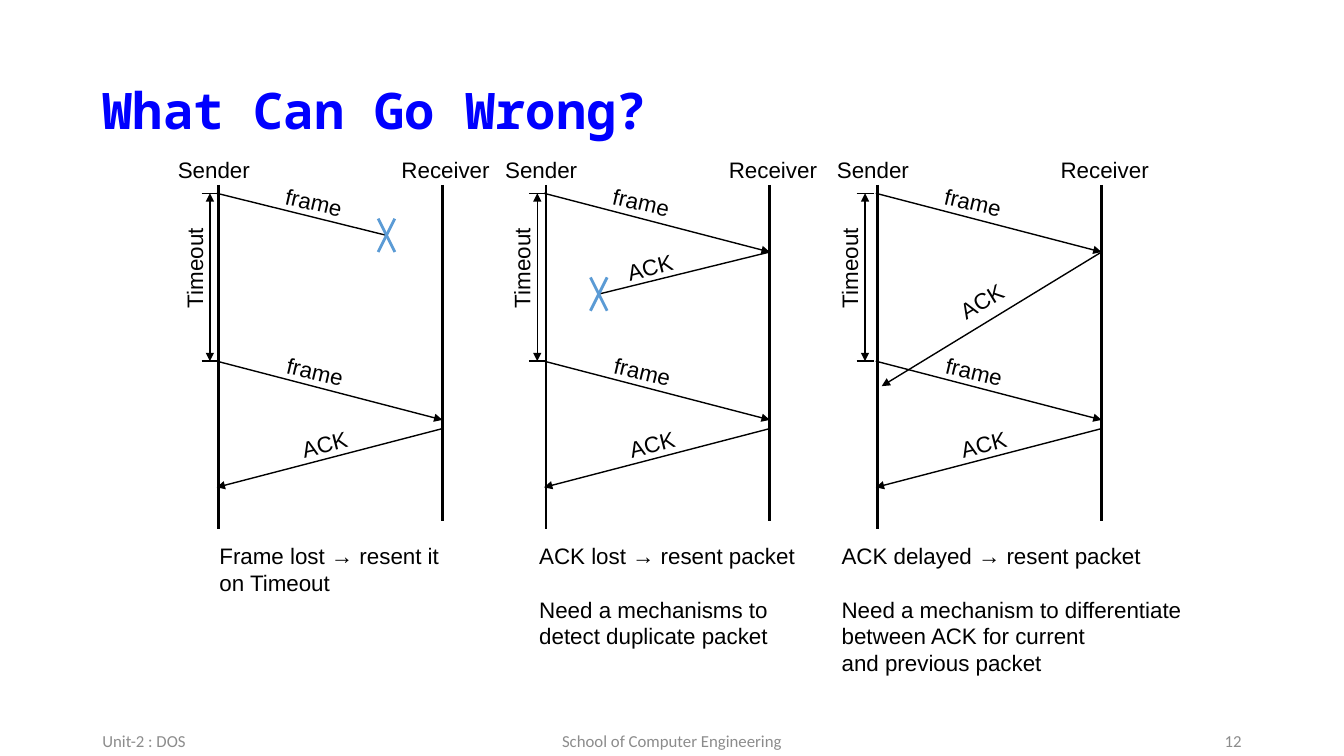
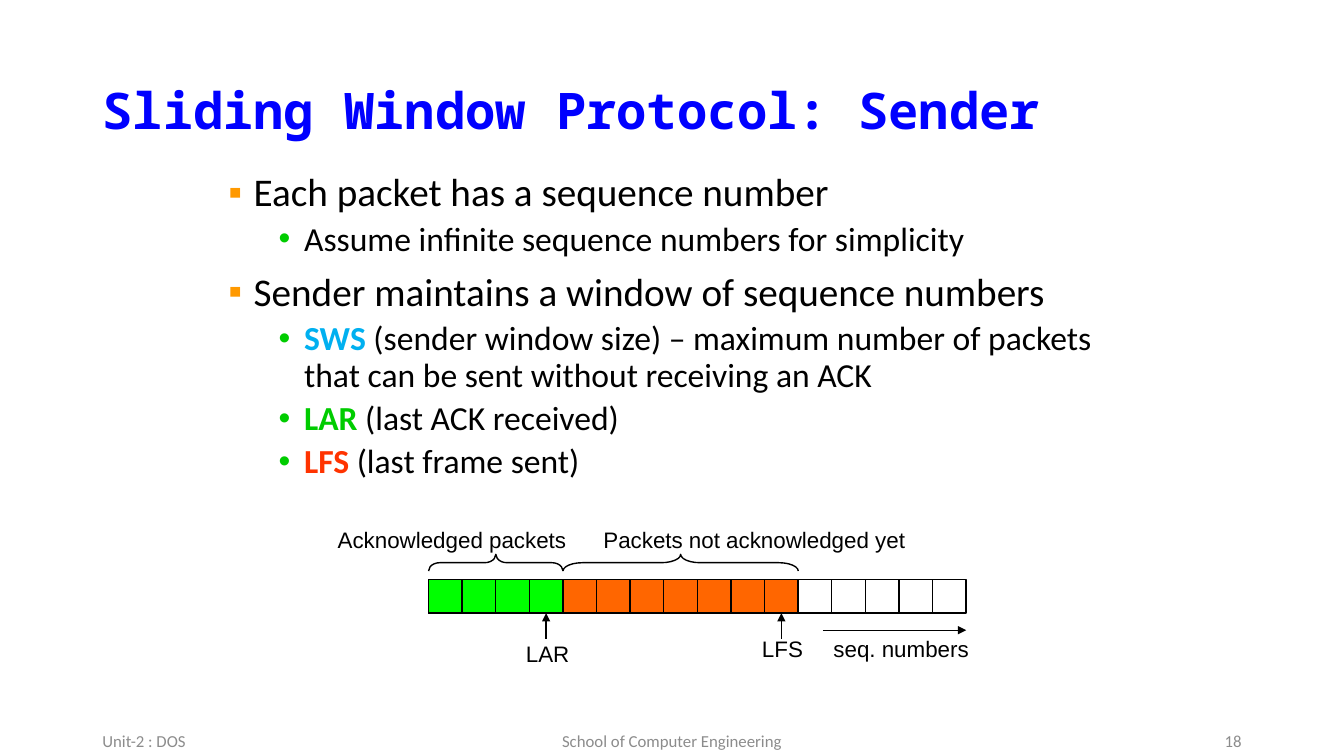
from dataclasses import dataclass

from lxml.etree import SubElement
from pptx import Presentation
from pptx.dml.color import RGBColor
from pptx.enum.shapes import MSO_CONNECTOR as Connector, MSO_SHAPE as Preset
from pptx.enum.text import MSO_ANCHOR as Anchor, MSO_AUTO_SIZE as AutoSize, PP_ALIGN as Align
from pptx.oxml.ns import qn
from pptx.shapes.autoshape import Shape
from pptx.slide import Slide
from pptx.util import Cm, Pt


@dataclass(frozen=True)
class Theme:
    title: str = "0000FF"
    ink: str = "000000"
    footer: str = "8C8C8C"
    loss: str = "5B9BD5"
    topic_bullet: str = "FF9900"
    detail_bullet: str = "00CC00"
    window_size: str = "00B0F0"
    last_ack: str = "00CC00"
    last_frame: str = "FF3300"
    acked: str = "00FF00"
    pending: str = "FF6600"
    title_font: str = "Noto Sans Mono"
    body_font: str = "Calibri"
    label_font: str = "Arial"
    title_size: int = 36
    topic_size: int = 28
    detail_size: int = 24
    label_size: int = 16
    footer_size: int = 12


THEME = Theme()


@dataclass(frozen=True)
class Label:
    """Text centred on a point, in centimetres."""
    text: str
    x: float
    y: float
    width: float
    angle: float = 0


@dataclass(frozen=True)
class Signal:
    """A transmission; x is measured from the sender's line."""
    x1: float
    y1: float
    x2: float
    y2: float
    lost: bool = False


@dataclass(frozen=True)
class Scenario:
    sender_x: float
    timer_x: float
    signals: tuple[Signal, ...]
    labels: tuple[Label, ...]
    caption_x: float
    caption_width: float
    outcome: tuple[str, ...]
    need: tuple[str, ...] = ()


@dataclass(frozen=True)
class Point:
    text: str
    detail: bool = True
    term: str = ""
    term_color: str = THEME.ink


# Timing diagram: heights down the slide and distance between the two lines
RECEIVER, SENDER = 5.64, -0.05
SENT, RESENT = 4.87, 9.1
FIRST_FRAME = Signal(SENDER, SENT, RECEIVER, 6.35)
COMMON_SIGNALS = (
    Signal(SENDER, RESENT, RECEIVER, 10.58),
    Signal(RECEIVER, 10.8, SENDER, 12.28),
)
COMMON_LABELS = (
    Label("Sender", -0.12, 4.28, 2.34),
    Label("Receiver", 5.72, 4.28, 2.74),
    Label("frame", 2.4, 5.09, 1.96, 13),
    Label("frame", 2.43, 9.36, 1.96, 13.4),
    Label("ACK", 2.67, 11.19, 1.68, -14.1),
)
SCENARIOS = (
    Scenario(5.51, 5.51, (Signal(SENDER, SENT, 4.23, 5.93, lost=True),), (),
             5.28, 6.27, ("Frame lost → resent it", "on Timeout")),
    Scenario(13.76, 13.76,
             (FIRST_FRAME, Signal(RECEIVER, 6.35, 1.33, 7.41, lost=True)),
             (Label("ACK", 2.62, 6.74, 1.68, -14.1),),
             13.34, 7.19, ("ACK lost → resent packet",),
             ("Need a mechanisms to", "detect duplicate packet")),
    Scenario(22.12, 22.02,
             (FIRST_FRAME, Signal(RECEIVER, 6.35, 0.1, 9.73)),
             (Label("ACK", 2.62, 7.58, 1.68, -31.1),),
             20.96, 9.27, ("ACK delayed → resent packet",),
             ("Need a mechanism to differentiate", "between ACK for current",
              "and previous packet")),
)

POINTS = (
    Point("Each packet has a sequence number", detail=False),
    Point("Assume infinite sequence numbers for simplicity"),
    Point("Sender maintains a window of sequence numbers", detail=False),
    Point(" (sender window size) – maximum number of packets that can be sent "
          "without receiving an ACK", term="SWS", term_color=THEME.window_size),
    Point(" (last ACK received)", term="LAR", term_color=THEME.last_ack),
    Point(" (last frame sent)", term="LFS", term_color=THEME.last_frame),
)

# Sequence number strip
STRIP_LEFT, STRIP_TOP, STRIP_WIDTH, STRIP_HEIGHT = 10.8, 14.6, 13.55, 0.85
CELLS, ACKED, PENDING = 16, 4, 7
CELL = STRIP_WIDTH / CELLS
STRIP_LABELS = (
    Label("seq. numbers", 22.71, 16.34, 3.96),
    Label("LAR", 13.8, 16.47, 1.6),
    Label("LFS", 19.72, 16.34, 1.55),
    Label("Acknowledged packets", 11.39, 13.6, 6.32),
    Label("Packets not acknowledged yet", 19.01, 13.6, 8.2),
)


# Shared drawing functions
def style(font, name: str, size: float, color: str, bold: bool = False) -> None:
    font.name, font.size, font.bold = name, Pt(size), bold
    font.color.rgb = RGBColor.from_string(color)


def place(shape: Shape, left: float, top: float, width: float, height: float) -> None:
    shape.left, shape.top = Cm(left), Cm(top)
    shape.width, shape.height = Cm(width), Cm(height)


def add_text(slide: Slide, lines: tuple[str, ...], left: float, top: float, width: float,
             height: float, align: Align = Align.CENTER) -> Shape:
    box = slide.shapes.add_textbox(Cm(left), Cm(top), Cm(width), Cm(height))
    box.text_frame.word_wrap = False
    box.text_frame.text = "\n".join(lines)
    for paragraph in box.text_frame.paragraphs:
        paragraph.alignment = align
        for run in paragraph.runs:
            style(run.font, THEME.label_font, THEME.label_size, THEME.ink)
    return box


def add_label(slide: Slide, label: Label, origin: float = 0) -> None:
    height = 0.94
    box = add_text(slide, (label.text,), origin + label.x - label.width / 2,
                   label.y - height / 2, label.width, height)
    box.rotation = label.angle


def add_line(slide: Slide, x1: float, y1: float, x2: float, y2: float, width: float = 1,
             color: str = THEME.ink, ends: tuple[str, ...] = ()) -> None:
    line = slide.shapes.add_connector(Connector.STRAIGHT, Cm(x1), Cm(y1), Cm(x2), Cm(y2))
    line.line.width = Pt(width)
    line.line.color.rgb = RGBColor.from_string(color)
    properties = line._element.spPr
    for end in ends:
        SubElement(properties.find(qn("a:ln")), qn(f"a:{end}"), type="triangle")
    SubElement(properties, qn("a:effectLst"))


def add_outline(slide: Slide, preset: Preset, left: float, top: float, width: float,
                height: float, fill: str = "") -> Shape:
    shape = slide.shapes.add_shape(preset, Cm(left), Cm(top), Cm(width), Cm(height))
    shape.shadow.inherit = False
    shape.line.width = Pt(1)
    shape.line.color.rgb = RGBColor.from_string(THEME.ink)
    if fill:
        shape.fill.solid()
        shape.fill.fore_color.rgb = RGBColor.from_string(fill)
    else:
        shape.fill.background()
    return shape


def new_slide(deck, layout: int, heading: str, number: int) -> Slide:
    slide = deck.slides.add_slide(deck.slide_layouts[layout])
    title = slide.shapes.title
    place(title, 2.33, 1.02, 29.21, 3.68)
    title.text_frame.text = heading
    title.text_frame.vertical_anchor = Anchor.MIDDLE
    title.text_frame.auto_size = AutoSize.NONE
    paragraph = title.text_frame.paragraphs[0]
    paragraph.alignment, paragraph.line_spacing = Align.LEFT, 0.9
    style(paragraph.runs[0].font, THEME.title_font, THEME.title_size, THEME.title, bold=True)

    footers = (
        ("Unit-2 : DOS", 2.33, 7.62, Align.LEFT),
        ("School of Computer Engineering", 11.22, 11.43, Align.CENTER),
        (str(number), 23.92, 7.62, Align.RIGHT),
    )
    for text, left, width, align in footers:
        footer = add_text(slide, (text,), left, 18.29, width, 0.76, align)
        footer.text_frame.word_wrap = True
        footer.text_frame.vertical_anchor = Anchor.MIDDLE
        run = footer.text_frame.paragraphs[0].runs[0]
        style(run.font, THEME.body_font, THEME.footer_size, THEME.footer)
    return slide


# Timing diagrams
def add_loss_mark(slide: Slide, x: float, y: float) -> None:
    for rise in (0.42, -0.42):
        add_line(slide, x - 0.21, y - rise, x + 0.21, y + rise, 2, THEME.loss)


def add_scenario(slide: Slide, scenario: Scenario) -> None:
    x, timer = scenario.sender_x, scenario.timer_x
    add_line(slide, x, 4.66, x, 13.34, 2)
    add_line(slide, x + RECEIVER, 4.66, x + RECEIVER, 13.12, 2)
    for signal in scenario.signals + COMMON_SIGNALS:
        add_line(slide, x + signal.x1, signal.y1, x + signal.x2, signal.y2,
                 ends=() if signal.lost else ("tailEnd",))
        if signal.lost:
            add_loss_mark(slide, x + signal.x2, signal.y2)
    for label in COMMON_LABELS + scenario.labels:
        add_label(slide, label, x)

    for y in (SENT, RESENT):
        add_line(slide, timer - 0.43, y, timer, y)
    add_line(slide, timer - 0.22, RESENT, timer - 0.22, SENT, ends=("headEnd", "tailEnd"))
    add_label(slide, Label("Timeout", -0.61, 6.76, 2.54, 270), timer)

    lines = scenario.outcome + scenario.need
    caption = add_text(slide, lines, scenario.caption_x, 13.54, scenario.caption_width,
                       0.25 + 0.68 * len(lines), Align.LEFT)
    if scenario.need:
        first_need = caption.text_frame.paragraphs[len(scenario.outcome)]
        first_need.space_before = Pt(19)


# Bulleted list
def add_bullet(paragraph, indent: float, mark: str, color: str) -> None:
    properties = paragraph._p.get_or_add_pPr()
    properties.set("marL", str(Cm(indent)))
    properties.set("indent", str(-Cm(0.64)))
    SubElement(SubElement(properties, qn("a:buClr")), qn("a:srgbClr"), val=color)
    SubElement(properties, qn("a:buFont"), typeface=THEME.label_font)
    SubElement(properties, qn("a:buChar"), char=mark)


def fill_points(body: Shape) -> None:
    place(body, 5.5, 4.23, 23.55, 10.3)
    frame = body.text_frame
    frame.text = "\n".join(point.term + point.text for point in POINTS)
    frame.auto_size = AutoSize.NONE
    for paragraph, point in zip(frame.paragraphs, POINTS):
        paragraph.level = int(point.detail)
        paragraph.line_spacing = 0.9
        paragraph.space_before = Pt(5 if point.detail else 10)
        if point.detail:
            add_bullet(paragraph, 1.91, "•", THEME.detail_bullet)
        else:
            add_bullet(paragraph, 0.64, "▪", THEME.topic_bullet)
        size = THEME.detail_size if point.detail else THEME.topic_size
        run = paragraph.runs[0]
        if point.term:
            run.text = point.term
            style(run.font, THEME.body_font, size, point.term_color, bold=True)
            run = paragraph.add_run()
            run.text = point.text
        style(run.font, THEME.body_font, size, THEME.ink)


# Sequence number strip
def add_strip(slide: Slide) -> None:
    bottom = STRIP_TOP + STRIP_HEIGHT
    for first, count, color in ((0, ACKED, THEME.acked), (ACKED, PENDING, THEME.pending)):
        left, width, depth = STRIP_LEFT + first * CELL, count * CELL, 0.42
        add_outline(slide, Preset.RECTANGLE, left, STRIP_TOP, width, STRIP_HEIGHT, color)
        brace = add_outline(slide, Preset.LEFT_BRACE, left + (width - depth) / 2,
                            14.18 - width / 2, depth, width)
        brace.rotation = 90
        brace.adjustments[0] = count / 6
        pointer = left + width - CELL / 2
        add_line(slide, pointer, 16.09, pointer, bottom, ends=("tailEnd",))
    add_outline(slide, Preset.RECTANGLE, STRIP_LEFT, STRIP_TOP, STRIP_WIDTH, STRIP_HEIGHT)
    for cell in range(1, CELLS):
        x = STRIP_LEFT + cell * CELL
        add_line(slide, x, STRIP_TOP, x, bottom)
    add_line(slide, 20.74, 15.88, STRIP_LEFT + STRIP_WIDTH, 15.88, ends=("tailEnd",))
    for label in STRIP_LABELS:
        add_label(slide, label)


def main() -> None:
    deck = Presentation()
    deck.slide_width, deck.slide_height = Cm(33.87), Cm(19.05)

    failures = new_slide(deck, 5, "What Can Go Wrong?", 12)
    for scenario in SCENARIOS:
        add_scenario(failures, scenario)

    window = new_slide(deck, 1, "Sliding Window Protocol: Sender", 18)
    fill_points(window.placeholders[1])
    add_strip(window)

    deck.save("out.pptx")


if __name__ == "__main__":
    main()
